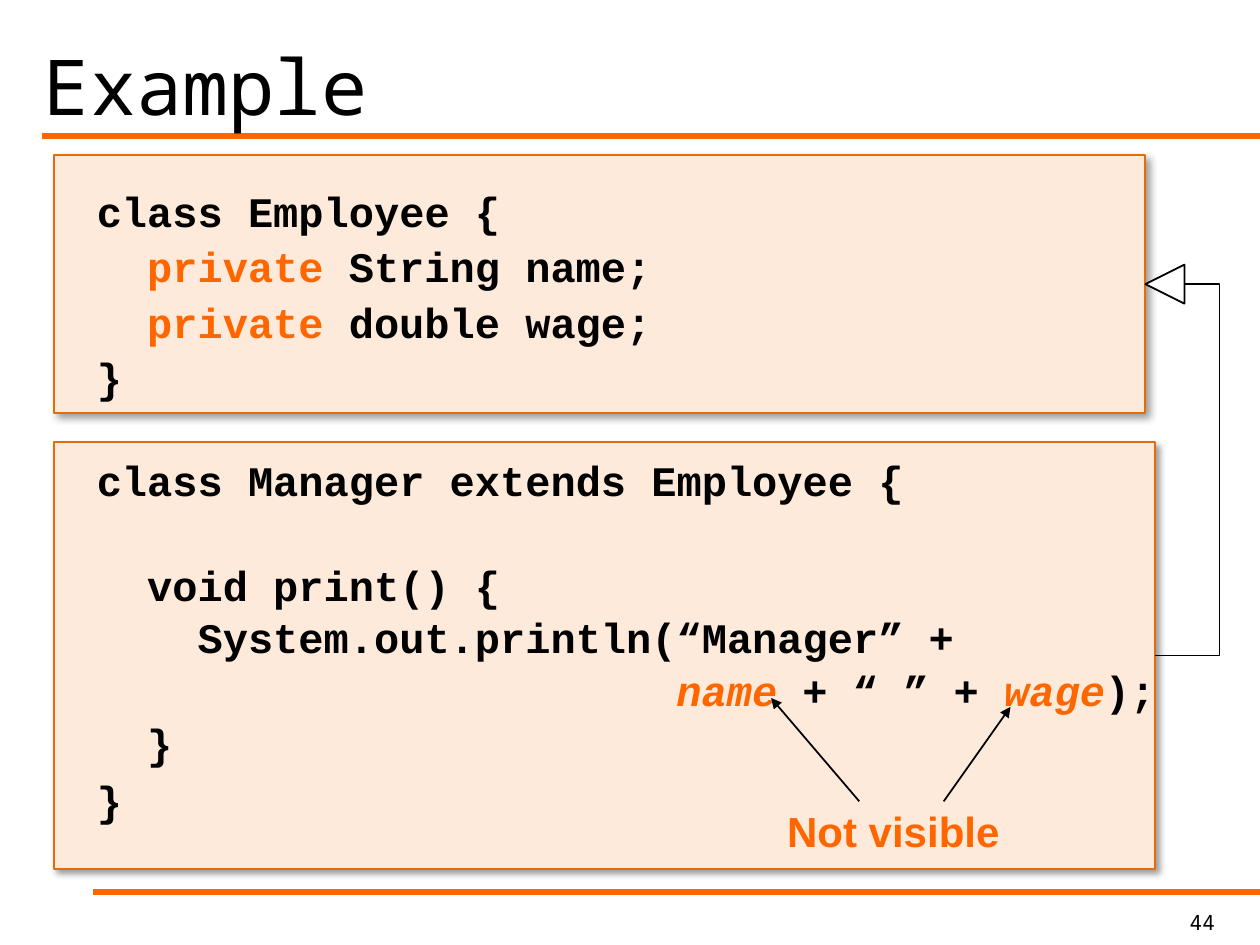
"""Build a slide showing that private fields are not visible in a subclass."""
from dataclasses import dataclass
from typing import Any, NamedTuple

from lxml.etree import SubElement
from pptx import Presentation
from pptx.dml.color import RGBColor
from pptx.enum.shapes import MSO_CONNECTOR as Link, MSO_SHAPE as Preset
from pptx.enum.text import MSO_ANCHOR as Anchor, PP_ALIGN as Align
from pptx.oxml import parse_xml
from pptx.oxml.ns import nsdecls, qn
from pptx.util import Inches, Pt

ORANGE = RGBColor(0xFF, 0x66, 0x00)
BORDER = RGBColor(0xE4, 0x6C, 0x0A)
PEACH = RGBColor(0xFD, 0xEA, 0xDA)
BLACK = RGBColor(0, 0, 0)
WHITE = RGBColor(0xFF, 0xFF, 0xFF)

CODE = {"name": "Courier New", "size": Pt(24), "bold": True}
TITLE = {"name": "Noto Sans Mono", "size": Pt(44)}
NUMBER = {"name": "Noto Sans Mono", "size": Pt(12)}
NOTE = {"name": "Arial", "size": Pt(24), "bold": True}


class Box(NamedTuple):
    left: float
    top: float
    width: float
    height: float


class Piece(NamedTuple):
    text: str
    color: RGBColor = BLACK
    italic: bool = False


@dataclass
class Line:
    pieces: list[Piece]
    format: dict[str, Any]


@dataclass
class Stroke:
    start: tuple[float, float]
    end: tuple[float, float]
    color: RGBColor = BLACK
    width: float = 1
    arrow: bool = False
    kind: Link = Link.STRAIGHT


def code_line(*pieces: Piece, before: float = 0, spacing: float = 1.0) -> Line:
    return Line(list(pieces), {"space_before": Pt(before), "space_after": Pt(2.9),
                               "line_spacing": spacing})


def set_all(target: Any, values: dict[str, Any]) -> None:
    for name, value in values.items():
        setattr(target, name, value)


def add_text(slide: Any, box: Box, lines: list[Line], font: dict[str, Any],
             **frame_format: Any) -> None:
    frame = slide.shapes.add_textbox(*map(Inches, box)).text_frame
    set_all(frame, {"word_wrap": True, **frame_format})
    for index, line in enumerate(lines):
        paragraph = frame.add_paragraph() if index else frame.paragraphs[0]
        set_all(paragraph, line.format)
        for piece in line.pieces:
            run = paragraph.add_run()
            run.text = piece.text
            set_all(run.font, {**font, "italic": piece.italic})
            run.font.color.rgb = piece.color


def add_outlined(slide: Any, preset: Preset, box: Box, fill: RGBColor, line: RGBColor) -> Any:
    shape = slide.shapes.add_shape(preset, *map(Inches, box))
    shape.shadow.inherit = False
    shape.fill.solid()
    shape.fill.fore_color.rgb = fill
    shape.line.color.rgb = line
    shape.line.width = Pt(1)
    return shape


def add_class_panel(slide: Any, box: Box) -> Any:
    panel = add_outlined(slide, Preset.RECTANGLE, box, PEACH, BORDER)
    effects = panel._element.spPr.find(qn("a:effectLst"))
    effects.append(parse_xml(
        f'<a:outerShdw {nsdecls("a")} blurRad="{Pt(4)}" dist="{Pt(3)}" dir="2700000" '
        'algn="tl" rotWithShape="0"><a:srgbClr val="000000"><a:alpha val="40000"/>'
        '</a:srgbClr></a:outerShdw>'))
    return panel


def add_stroke(slide: Any, stroke: Stroke) -> Any:
    connector = slide.shapes.add_connector(
        stroke.kind, *map(Inches, stroke.start + stroke.end))
    connector.line.color.rgb = stroke.color
    connector.line.width = Pt(stroke.width)
    if stroke.arrow:
        SubElement(connector.line._get_or_add_ln(), qn("a:tailEnd"), type="triangle")
    SubElement(connector._element.spPr, qn("a:effectLst"))
    return connector


def add_inheritance(slide: Any, child: Any, parent: Any, bend: float) -> None:
    link = add_stroke(slide, Stroke((0, 0), (1, 1), width=0.75, kind=Link.ELBOW))
    link.begin_connect(child, 3)
    link.end_connect(parent, 3)
    ratio = (link.begin_x - Inches(bend)) / link.width
    geometry = link._element.spPr.find(qn("a:prstGeom"))
    SubElement(geometry.get_or_add_avLst(), qn("a:gd"), name="adj1",
               fmla=f"val {round(ratio * 100000)}")


def main() -> None:
    deck = Presentation()
    deck.slide_width, deck.slide_height = Inches(10), Inches(7.5)
    slide = deck.slides.add_slide(deck.slide_layouts[6])

    for left, top in ((0.33, 1.08), (0.74, 7.08)):
        add_stroke(slide, Stroke((left, top), (10, top), ORANGE, 3))
    manager = add_class_panel(slide, Box(0.43, 3.51, 8.74, 3.39))
    employee = add_class_panel(slide, Box(0.43, 1.23, 8.66, 2.05))

    add_text(slide, Box(8.25, 7.17, 1.49, 0.33),
             [Line([Piece("44")], {"alignment": Align.RIGHT})], NUMBER)
    add_text(slide, Box(0.25, 0.17, 9.42, 1), [Line([Piece("Example")], {})], TITLE,
             vertical_anchor=Anchor.MIDDLE)

    private = Piece("private ", ORANGE)
    listing = [
        code_line(Piece("class Employee {")),
        code_line(Piece("  "), private, Piece("String name;")),
        code_line(Piece("  "), private, Piece("double wage;")),
        code_line(Piece("}")),
        code_line(Piece("class Manager extends Employee {"), before=27.2),
        code_line(Piece("  void print() {"), before=30.1, spacing=0.95),
        code_line(Piece("    System.out.println(“Manager” +"), spacing=0.95),
        code_line(Piece("                       "), Piece("name ", ORANGE, True),
                  Piece("+ “ ” + "), Piece("wage", ORANGE, True), Piece(");"),
                  spacing=0.95),
        code_line(Piece("  }"), spacing=0.95),
        code_line(Piece("}")),
    ]
    add_text(slide, Box(0.67, 1.42, 9, 5.01), listing, CODE)

    add_text(slide, Box(6.14, 6.34, 1.9, 0.51),
             [Line([Piece("Not visible", ORANGE)], {"alignment": Align.CENTER})], NOTE,
             word_wrap=False)
    for start, end in (((6.82, 6.36), (6.12, 5.54)), ((7.49, 6.36), (8.02, 5.61))):
        add_stroke(slide, Stroke(start, end, arrow=True))

    add_inheritance(slide, manager, employee, bend=9.68)
    arrowhead = add_outlined(slide, Preset.ISOSCELES_TRIANGLE, Box(9.09, 2.1, 0.31, 0.31),
                             WHITE, BLACK)
    arrowhead.rotation = 270
    deck.save("out.pptx")


if __name__ == "__main__":
    main()
